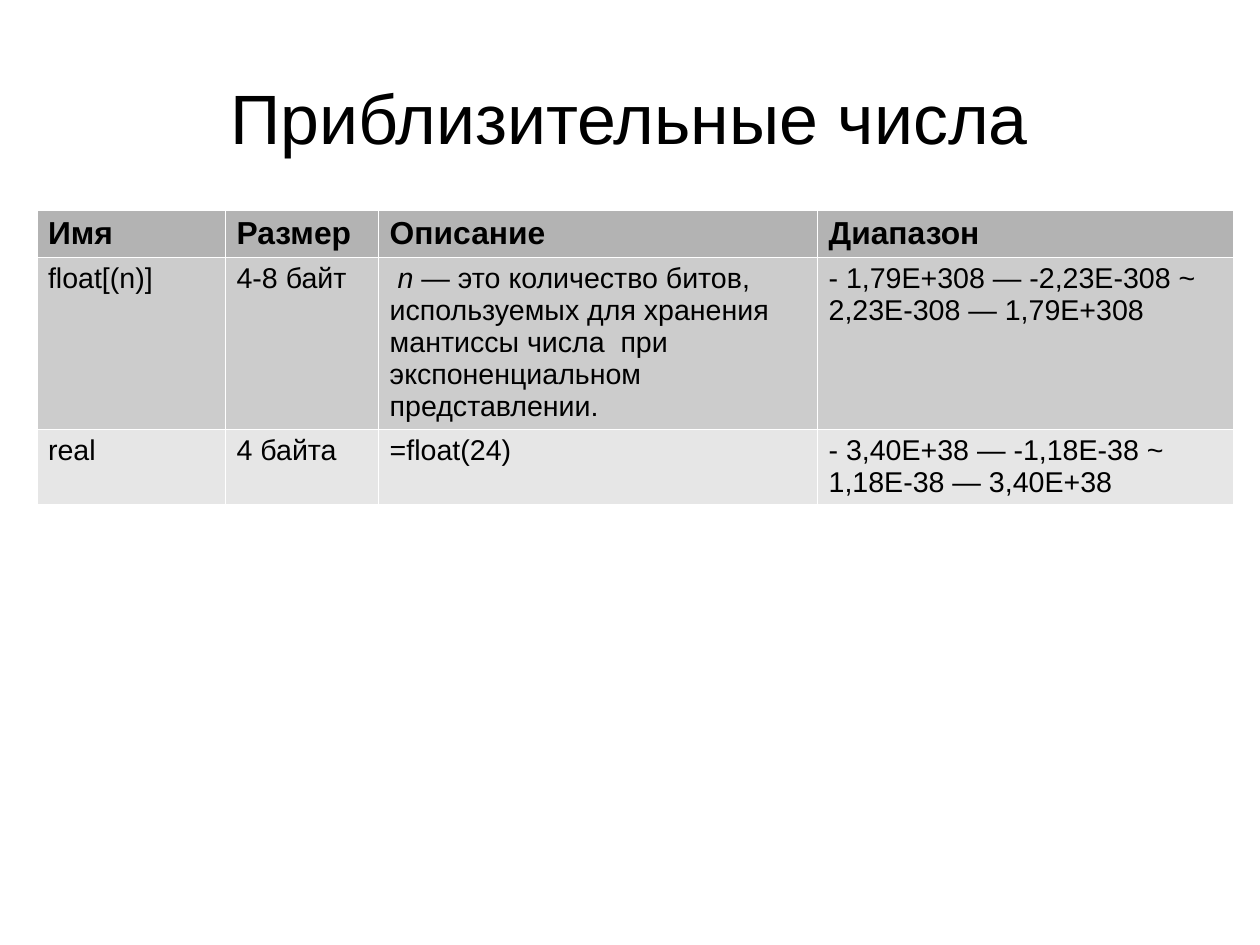
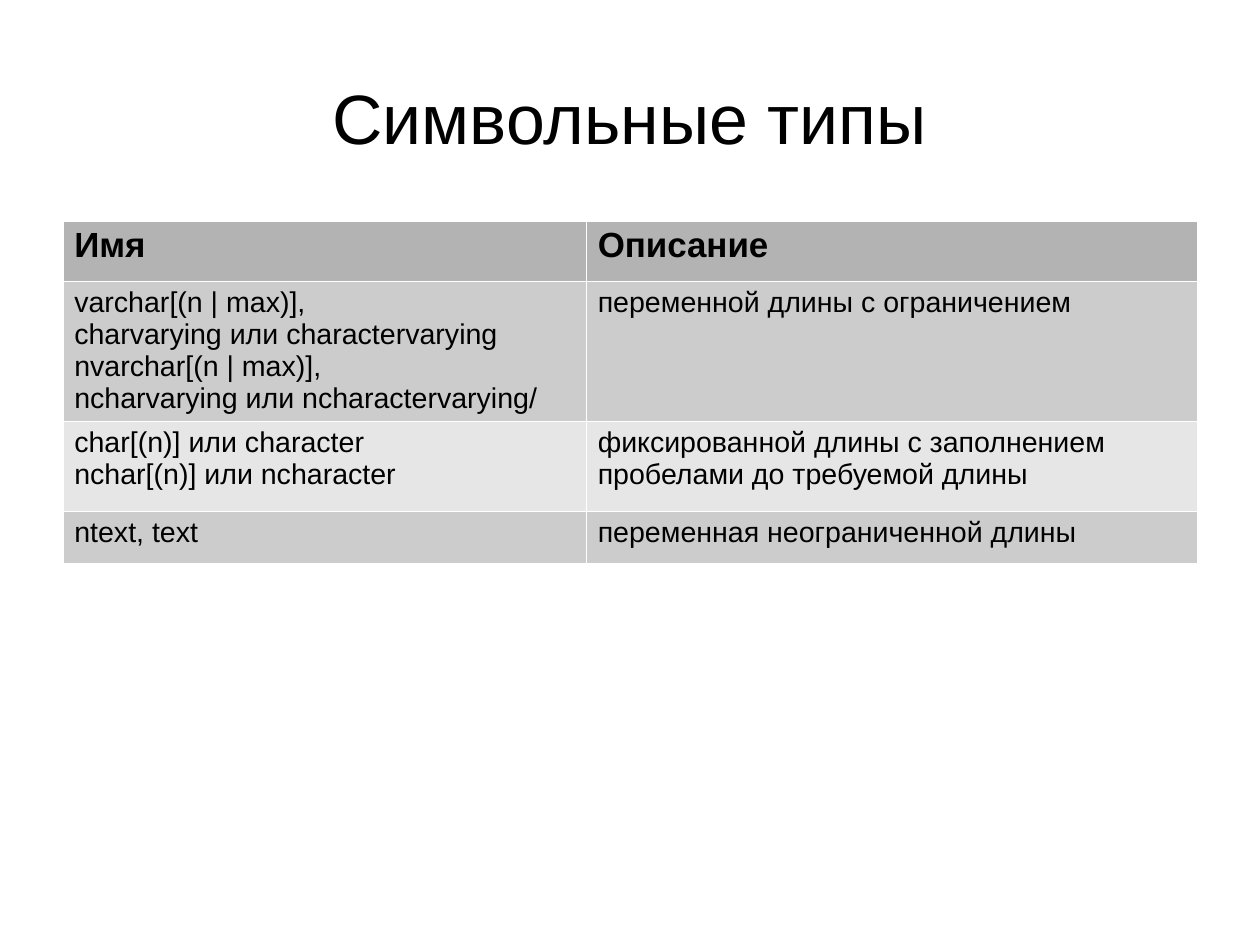
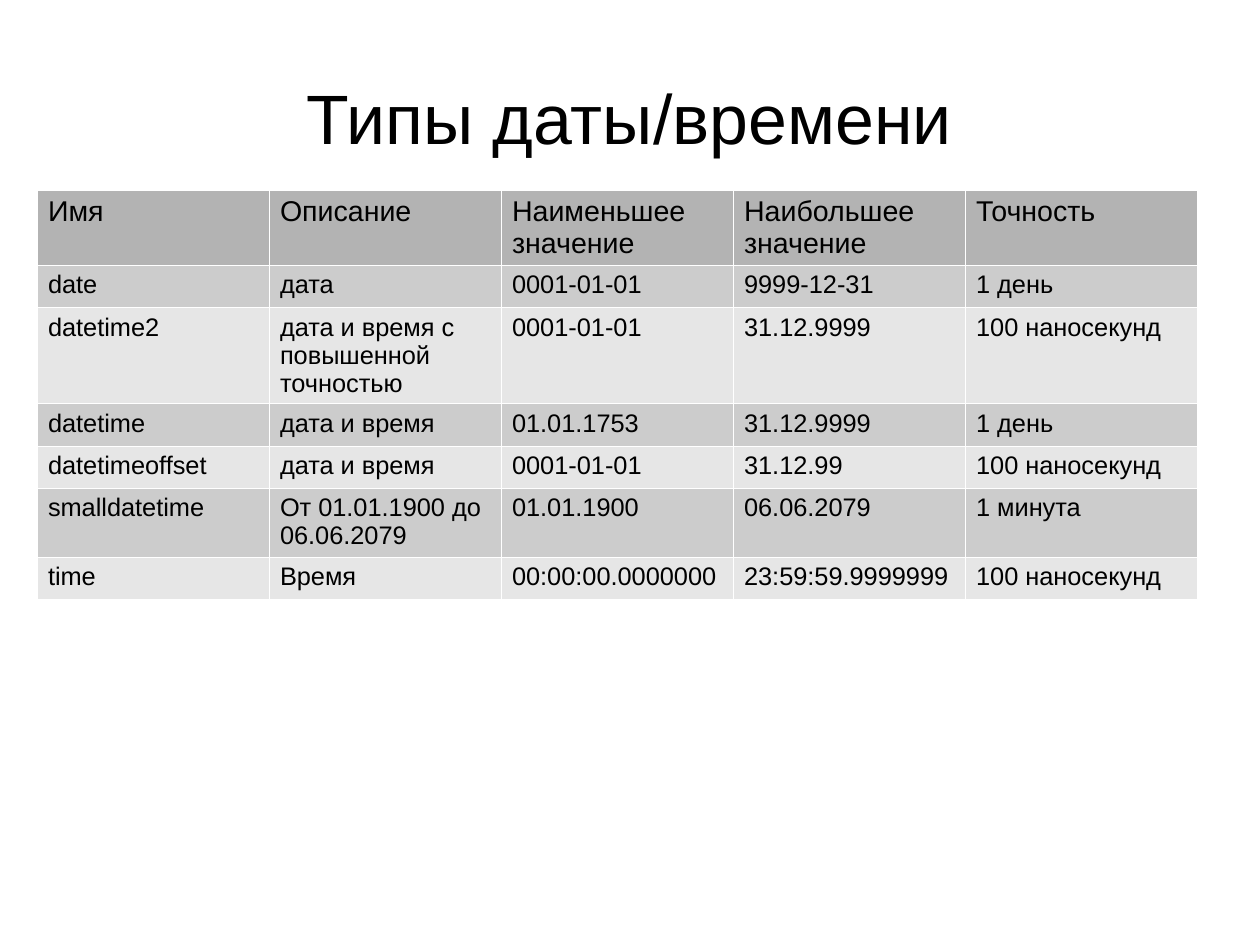
from lxml import etree
from pptx import Presentation
from pptx.dml.color import RGBColor
from pptx.enum.text import MSO_ANCHOR, PP_ALIGN
from pptx.oxml.ns import qn
from pptx.util import Inches, Pt

CENTER = PP_ALIGN.CENTER
MIDDLE = MSO_ANCHOR.MIDDLE

NBSP = chr(160)
CM_PER_INCH = 2.54
FONT = "Arial"
COLORS = {
    "text": "000000",
    "header": "B3B3B3",
    "odd": "CCCCCC",
    "even": "E6E6E6",
    "border": "FFFFFF",
}
TITLE_BOX = {"left": 0.55, "top": 0.33, "width": 9.92, "height": 1.38}
MARGINS = ("margin_left", "margin_right", "margin_top", "margin_bottom")

SLIDES = [
    {
        "title": "Приблизительные числа",
        "at": (0.32, 1.84),
        "cols": [1.65, 1.34, 3.84, 3.64],
        "heights": [0.41, 1.49, 0.66],
        "header": {"size": Pt(20), "bold": True},
        "body": {"size": Pt(18), "bold": False},
        "rows": [
            ["Имя", "Размер", "Описание", "Диапазон"],
            ["float[(n)]", "4-8 байт",
             f"{NBSP}*n*{NBSP}— это количество битов, используемых для хранения "
             f"мантиссы числа {NBSP}при экспоненциальном представлении.",
             "- 1,79E+308 — -2,23E-308 ~ 2,23E-308 — 1,79E+308"],
            ["real", "4 байта", "=float(24)",
             "- 3,40E+38 — -1,18E-38 ~ 1,18E-38 — 3,40E+38"],
        ],
    },
    {
        "title": "Символьные типы",
        "at": (0.55, 1.93),
        "cols": [4.58, 5.34],
        "heights": [0.53, 1.22, 0.79, 0.46],
        "header": {"size": Pt(22), "bold": True},
        "body": {"size": Pt(18), "bold": False},
        "rows": [
            ["Имя", "Описание"],
            [f"varchar[(n | max)], charvarying{NBSP}или{NBSP}charactervarying\n"
             f"nvarchar[(n | max)], ncharvarying{NBSP}или{NBSP}ncharactervarying/",
             "переменной длины с ограничением"],
            ["char[(n)] или character\nnchar[(n)] или ncharacter",
             "фиксированной длины с заполнением пробелами до требуемой длины"],
            ["ntext, text", "переменная неограниченной длины"],
        ],
    },
    {
        "title": "Типы даты/времени",
        "at": (0.32, 1.66),
        "cols": [2.03] * 5,
        "heights": [0.65, 0.37, 0.84, 0.37, 0.37, 0.6, 0.37],
        "header": {"size": Pt(18), "bold": False},
        "body": {"size": Pt(16), "bold": False},
        "rows": [
            ["Имя", "Описание", "Наименьшее значение", "Наибольшее значение", "Точность"],
            ["date", "дата", "0001-01-01", "9999-12-31", "1 день"],
            ["datetime2", "дата и время с повышенной точностью",
             "0001-01-01", "31.12.9999", "100 наносекунд"],
            ["datetime", "дата и время", "01.01.1753", "31.12.9999", "1 день"],
            ["datetimeoffset", "дата и время", "0001-01-01", "31.12.99", "100 наносекунд"],
            ["smalldatetime", "От 01.01.1900 до 06.06.2079",
             "01.01.1900", "06.06.2079", "1 минута"],
            ["time", "Время", "00:00:00.0000000", "23:59:59.9999999", "100 наносекунд"],
        ],
    },
]


def add_run(p, text, formats):
    r = p.add_run()
    r.text = text
    r.font.name = FONT
    r.font.color.rgb = RGBColor.from_string(COLORS["text"])
    for name, value in formats.items():
        setattr(r.font, name, value)


def style_cell(cell, fill):
    tcPr = cell._tc.get_or_add_tcPr()
    for side in ("lnL", "lnR", "lnT", "lnB"):
        ln = etree.SubElement(tcPr, qn(f"a:{side}"), w=str(Pt(0.06)))
        solid = etree.SubElement(ln, qn("a:solidFill"))
        etree.SubElement(solid, qn("a:srgbClr"), val=COLORS["border"])
    cell.fill.solid()
    cell.fill.fore_color.rgb = RGBColor.from_string(fill)


prs = Presentation()
prs.slide_width = Inches(28 / CM_PER_INCH)
prs.slide_height = Inches(21 / CM_PER_INCH)

for data in SLIDES:
    s = prs.slides.add_slide(prs.slide_layouts[5])
    title = s.shapes.title
    for name, value in TITLE_BOX.items():
        setattr(title, name, Inches(value))
    tf = title.text_frame
    tf.word_wrap = True
    tf.vertical_anchor = MIDDLE
    for name in MARGINS:
        setattr(tf, name, 0)
    p = tf.paragraphs[0]
    p.alignment = CENTER
    add_run(p, data["title"], {"size": Pt(44)})

    rows, cols, heights = data["rows"], data["cols"], data["heights"]
    left, top = data["at"]
    table = s.shapes.add_table(
        len(rows), len(cols), Inches(left), Inches(top),
        Inches(sum(cols)), Inches(sum(heights))).table
    for column, width in zip(table.columns, cols):
        column.width = Inches(width)
    for i, (texts, height) in enumerate(zip(rows, heights)):
        table.rows[i].height = Inches(height)
        kind = "header" if i == 0 else "odd" if i % 2 else "even"
        formats = data["header" if i == 0 else "body"]
        for j, text in enumerate(texts):
            cell = table.cell(i, j)
            style_cell(cell, COLORS[kind])
            tf = cell.text_frame
            for k, line in enumerate(text.split("\n")):
                p = tf.add_paragraph() if k else tf.paragraphs[0]
                for n, part in enumerate(line.split("*")):
                    add_run(p, part, {**formats, "italic": n % 2 == 1})

prs.save("out.pptx")
